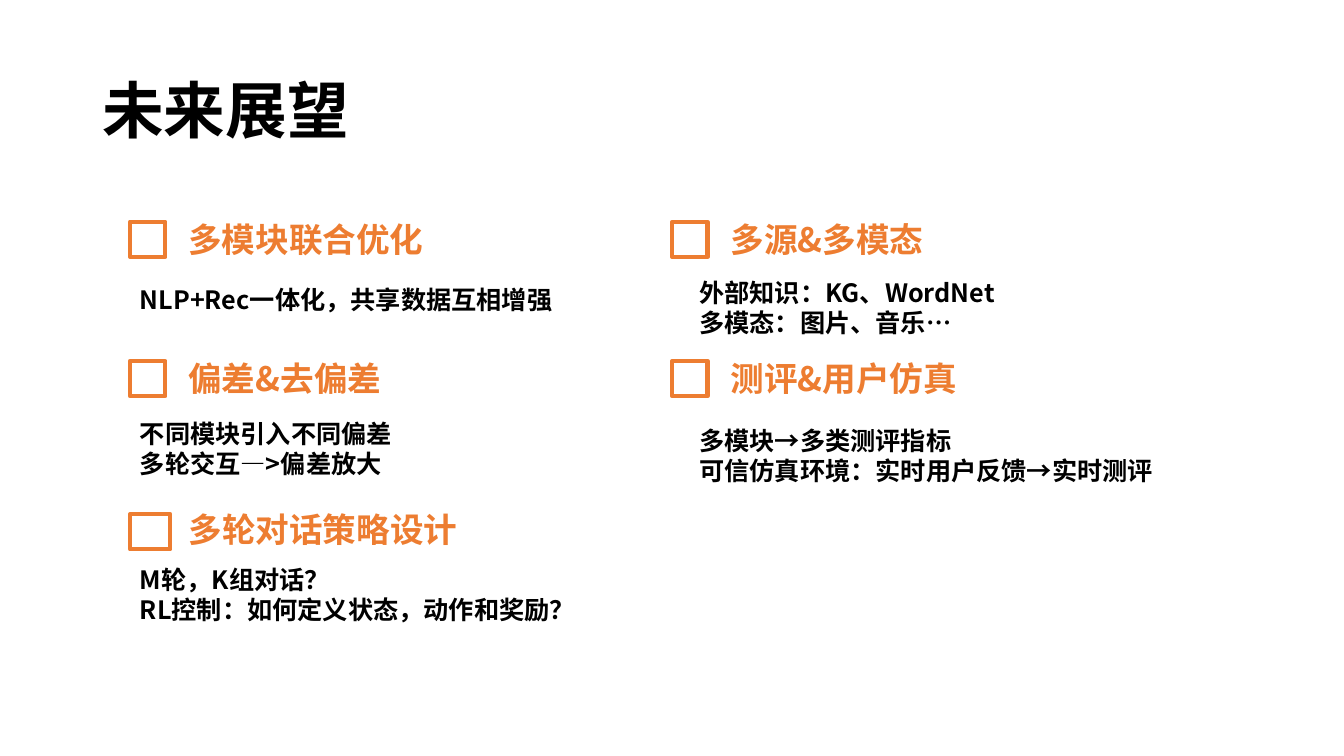
from dataclasses import dataclass

from lxml import etree
from pptx import Presentation
from pptx.dml.color import RGBColor
from pptx.enum.shapes import MSO_SHAPE
from pptx.enum.text import MSO_ANCHOR, MSO_AUTO_SIZE
from pptx.oxml.ns import qn
from pptx.shapes.autoshape import Shape
from pptx.util import Pt

RECT = MSO_SHAPE.RECTANGLE
MIDDLE = MSO_ANCHOR.MIDDLE
TOP = MSO_ANCHOR.TOP
GROW = MSO_AUTO_SIZE.SHAPE_TO_FIT_TEXT
FIXED = MSO_AUTO_SIZE.NONE

FONT = "Noto Sans CJK SC"
ORANGE = "ED7D31"
BLACK = "000000"
LEFT, RIGHT = 92.9, 480.2
INDENT = 34.6
SIDE = 25.2


@dataclass
class Topic:
    left: float
    top: float
    head: str
    note_left: float
    note_top: float
    note_width: float
    lines: list[str]
    box_width: float = SIDE
    box_drop: float = 5.8
    head_width: float = 192.2
    head_height: float = 36.3


TOPICS = [
    Topic(LEFT, 152.6, "多模块联合优化", LEFT, 199.4, 331.2,
          ["NLP+Rec一体化，共享数据互相增强"]),
    Topic(LEFT, 252, "偏差&去偏差", LEFT, 295.2, 331.2,
          ["不同模块引入不同偏差", "多轮交互—>偏差放大"]),
    Topic(LEFT, 360, "多轮对话策略设计", LEFT, 399.6, 331.2,
          ["M轮，K组对话？", "RL控制：如何定义状态，动作和奖励？"],
          box_width=28.8, box_drop=7.2, head_width=217.4, head_height=65.5),
    Topic(RIGHT, 152.6, "多源&多模态", 492.5, 194.4, 331.2,
          ["外部知识：KG、WordNet", "多模态：图片、音乐…"]),
    Topic(RIGHT, 252, "测评&用户仿真", 492.5, 300.2, 350.6,
          ["多模块→多类测评指标", "可信仿真环境：实时用户反馈→实时测评"]),
]


def color(code: str) -> RGBColor:
    return RGBColor.from_string(code)


def add_text(shapes, left: float, top: float, width: float, height: float,
             lines: list[str], size: float, ink: str, fit=GROW) -> Shape:
    box = shapes.add_textbox(Pt(left), Pt(top), Pt(width), Pt(height))
    frame = box.text_frame
    form = {"word_wrap": True, "auto_size": fit, "vertical_anchor": TOP}
    for key, value in form.items():
        setattr(frame, key, value)
    look = {"name": FONT, "size": Pt(size), "bold": True}
    for index, line in enumerate(lines):
        para = frame.add_paragraph() if index else frame.paragraphs[0]
        run = para.add_run()
        run.text = line
        for key, value in look.items():
            setattr(run.font, key, value)
        run.font.color.rgb = color(ink)
        east = etree.SubElement(run.font._element, qn("a:ea"))
        east.set("typeface", FONT)
    return box


def add_topic(shapes, topic: Topic) -> None:
    group = shapes.add_group_shape().shapes
    box = group.add_shape(RECT, Pt(topic.left), Pt(topic.top + topic.box_drop),
                          Pt(topic.box_width), Pt(SIDE))
    box.shadow.inherit = False
    box.fill.background()
    box.line.color.rgb = color(ORANGE)
    box.line.width = Pt(3)
    add_text(group, topic.left + INDENT, topic.top, topic.head_width,
             topic.head_height, [topic.head], 24, ORANGE)
    add_text(shapes, topic.note_left, topic.note_top, topic.note_width,
             7.2 + 21.8 * len(topic.lines), topic.lines, 18, BLACK)


def main() -> None:
    deck = Presentation()
    deck.slide_width = Pt(960)
    deck.slide_height = Pt(540)
    shapes = deck.slides.add_slide(deck.slide_layouts[6]).shapes
    title = add_text(shapes, 66, 28.75, 828, 104.4, ["未来展望"], 44, BLACK, FIXED)
    title.text_frame.vertical_anchor = MIDDLE
    title.text_frame.paragraphs[0].line_spacing = 0.9
    for topic in TOPICS:
        add_topic(shapes, topic)
    deck.save("out.pptx")


if __name__ == "__main__":
    main()
